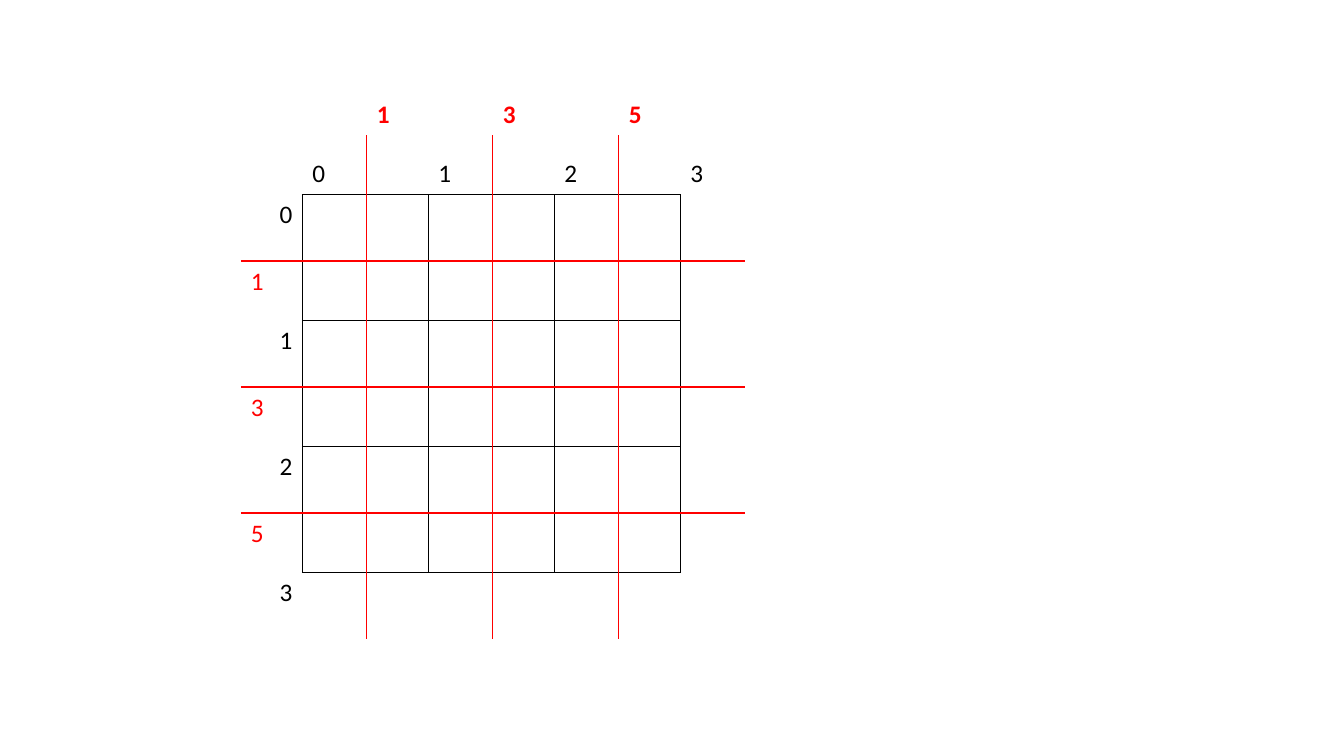
from lxml.etree import fromstring
from pptx import Presentation
from pptx.dml.color import RGBColor
from pptx.enum.text import MSO_ANCHOR as Anchor, PP_ALIGN as Align
from pptx.oxml.ns import nsdecls, qn
from pptx.util import Pt

BLACK = RGBColor(0, 0, 0)
RED = RGBColor(255, 0, 0)
NO_GRID_STYLE = "{2D5ABB26-0587-4C30-8999-92F81FD0307C}"
CELL = 90
ROWS = 5


class GridSlide:
    font = "Calibri"
    size = 18
    line_width = 1

    def __init__(self, presentation):
        self.slide = presentation.slides.add_slide(presentation.slide_layouts[6])

    def table(self, left, top, columns):
        frame = self.slide.shapes.add_table(
            ROWS, columns, Pt(left), Pt(top), Pt(columns * CELL), Pt(ROWS * CELL))
        table = frame.table
        table.first_row = table.horz_banding = False
        table._tbl.tblPr.find(qn("a:tableStyleId")).text = NO_GRID_STYLE
        for cell in table.iter_cells():
            cell.fill.background()
        return table

    def label(self, cell, text, color, bold=False, align=Align.LEFT, anchor=Anchor.TOP):
        cell.vertical_anchor = anchor
        paragraph = cell.text_frame.paragraphs[0]
        paragraph.alignment = align
        run = paragraph.add_run()
        run.text = text
        run.font.name = self.font
        run.font.size = Pt(self.size)
        run.font.bold = bold
        run.font.color.rgb = color

    def borders(self, cell, sides, color):
        """Draw the given sides and clear the others."""
        properties = cell._tc.get_or_add_tcPr()
        for index, side in enumerate("LRTB"):
            fill = (f'<a:solidFill><a:srgbClr val="{color}"/></a:solidFill>'
                    if side in sides else "<a:noFill/>")
            properties.insert(index, fromstring(
                f'<a:ln{side} {nsdecls("a")} w="{Pt(self.line_width)}">{fill}</a:ln{side}>'))

    def rules(self, table, vertical, horizontal, rows, columns, color):
        """Rule the table at the given column and row boundaries."""
        for row in range(len(table.rows)):
            for column in range(len(table.columns)):
                sides = ""
                if row in rows:
                    sides += "L" if column in vertical else ""
                    sides += "R" if column + 1 in vertical else ""
                if column in columns:
                    sides += "T" if row in horizontal else ""
                    sides += "B" if row + 1 in horizontal else ""
                self.borders(table.cell(row, column), sides, color)


def main():
    presentation = Presentation()
    presentation.slide_width = Pt(960)
    presentation.slide_height = Pt(540)
    grid = GridSlide(presentation)

    whole = grid.table(126, 49, 5)
    grid.rules(whole, range(1, 5), range(1, 5), range(1, 4), range(1, 4), BLACK)
    for index in range(4):
        grid.label(whole.cell(0, index + 1), str(index), BLACK, anchor=Anchor.BOTTOM)
        grid.label(whole.cell(index + 1, 0), str(index), BLACK, align=Align.RIGHT)

    halves = grid.table(172, 6.5, 4)
    grid.rules(halves, range(1, 4), range(2, 5), range(1, 5), range(4), RED)
    for index, text in enumerate("135"):
        grid.label(halves.cell(0, index + 1), text, RED, bold=True, anchor=Anchor.BOTTOM)
        grid.label(halves.cell(index + 2, 0), text, RED)

    presentation.save("out.pptx")


if __name__ == "__main__":
    main()
